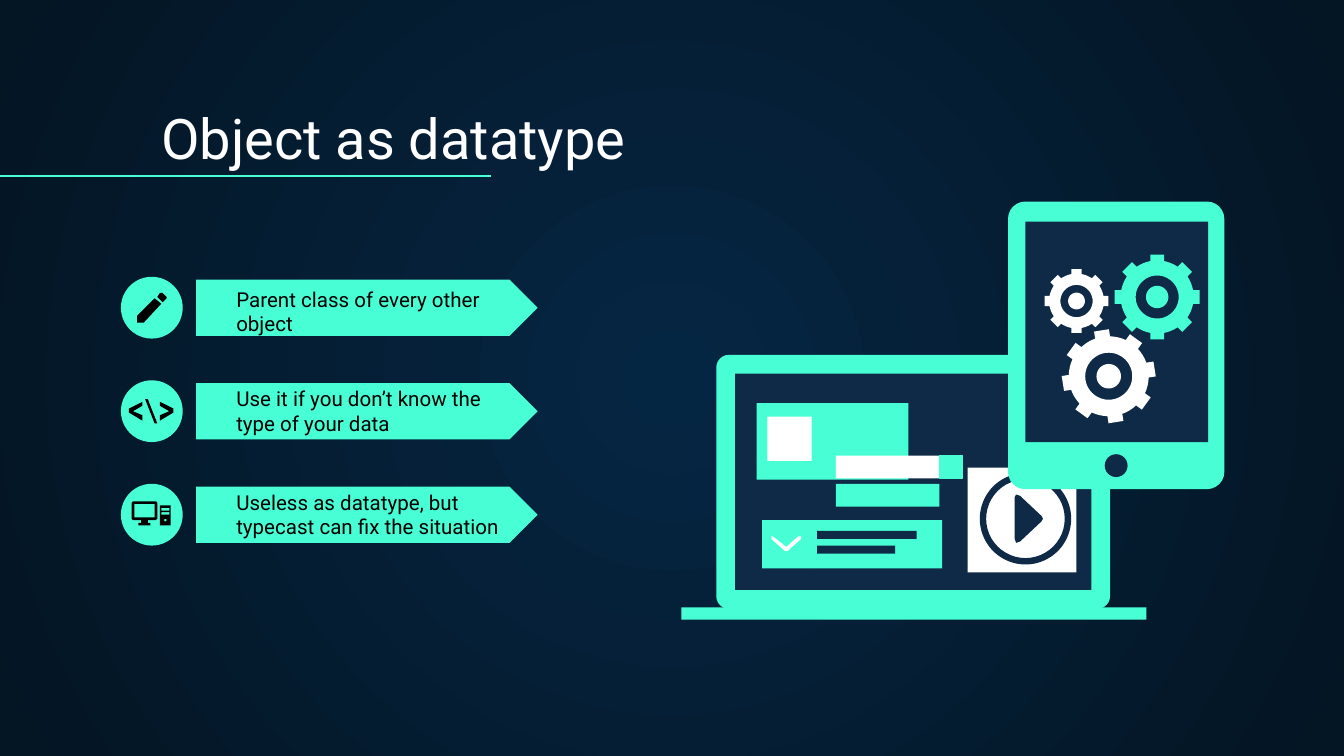
from math import cos, sin, pi, asin, radians

from lxml import etree
from pptx import Presentation
from pptx.dml.color import RGBColor
from pptx.enum.shapes import MSO_CONNECTOR, MSO_SHAPE
from pptx.enum.text import MSO_ANCHOR, MSO_AUTO_SIZE, PP_ALIGN
from pptx.oxml.ns import qn
from pptx.util import Inches, Pt

RECT, ROUND = MSO_SHAPE.RECTANGLE, MSO_SHAPE.ROUNDED_RECTANGLE
OVAL, DONUT, TAG = MSO_SHAPE.OVAL, MSO_SHAPE.DONUT, MSO_SHAPE.PENTAGON
STRAIGHT = MSO_CONNECTOR.STRAIGHT
BOTTOM, LEFT, NO_FIT = MSO_ANCHOR.BOTTOM, PP_ALIGN.LEFT, MSO_AUTO_SIZE.NONE

MINT, NAVY, WHITE, BLACK = "48FFD5", "0E2A47", "FFFFFF", "000000"
WIDTH, HEIGHT = Inches(10), Inches(10) * 9 // 16
ROW_TOP, ROW_STEP = 2.06, 0.77
# Text and the top of its box
ITEMS = [
    ("Parent class of every other object", 2.39),
    ("Use it if you don’t know the type of your data", 3.13),
    ("Useless as datatype, but typecast can fix the situation", 3.9),
]


def rgb(color):
    return RGBColor.from_string(color)


def paint(shape, color):
    shape.shadow.inherit = False
    shape.fill.solid()
    shape.fill.fore_color.rgb = rgb(color)
    shape.line.fill.background()
    return shape


def block(s, kind, box, color, adj=None):
    shape = s.shapes.add_shape(kind, *map(Inches, box))
    if adj is not None:
        shape.adjustments[0] = adj
    return paint(shape, color)


def outline(s, contours, color):
    """Closed polygons in one shape; inner ones are holes."""
    first, *rest = [[(Inches(x), Inches(y)) for x, y in c] for c in contours]
    fb = s.shapes.build_freeform(*first[0], scale=1.0)
    fb.add_line_segments(first[1:], close=True)
    for contour in rest:
        fb.move_to(*contour[0])
        fb.add_line_segments(contour[1:], close=True)
    return paint(fb.convert_to_shape(), color)


def rect_points(left, top, right, bottom):
    return [(left, top), (right, top), (right, bottom), (left, bottom)]


def circle_points(cx, cy, radius, steps=48):
    angles = [2 * pi * i / steps for i in range(steps)]
    return [(cx + radius * cos(a), cy + radius * sin(a)) for a in angles]


def gear(s, cx, cy, tip, color, turn=0, teeth=8):
    root, half = tip * 0.85, tip * 0.16
    ring, hub = tip * 0.5, tip * 0.26
    at_root, at_tip = asin(half / root), asin(half / tip)
    pitch = 2 * pi / teeth
    gap = (pitch - 2 * at_root) / 4
    polar = []
    for i in range(teeth):
        a = i * pitch + radians(turn)
        polar += [(root, a - at_root), (tip, a - at_tip), (tip, a + at_tip)]
        polar += [(root, a + at_root + gap * j) for j in range(4)]
    rim = [(cx + r * sin(a), cy - r * cos(a)) for r, a in polar]
    outline(s, [rim, circle_points(cx, cy, ring), circle_points(cx, cy, hub)], color)


def write(shape, box, text, size, color):
    shape.left, shape.top, shape.width, shape.height = map(Inches, box)
    tf = shape.text_frame
    margins = {f"margin_{side}": Inches(0.1) for side in ("left", "right", "top", "bottom")}
    frame = {"word_wrap": True, "auto_size": NO_FIT, "vertical_anchor": BOTTOM, **margins}
    for name, value in frame.items():
        setattr(tf, name, value)
    p = tf.paragraphs[0]
    p.alignment = LEFT
    r = p.add_run()
    r.text = text
    for name, value in {"name": "Roboto", "size": Pt(size), "bold": False}.items():
        setattr(r.font, name, value)
    r.font.color.rgb = rgb(color)


def background(s):
    fill = s.background.fill
    fill.gradient()
    for stop, color in zip(fill.gradient_stops, ("052643", "041523")):
        stop.color.rgb = rgb(color)
    lin = s.background._cSld.find(".//" + qn("a:lin"))
    radial = etree.Element(qn("a:path"), path="circle")
    etree.SubElement(radial, qn("a:fillToRect"), dict.fromkeys("ltrb", "50000"))
    lin.getparent().replace(lin, radial)


def heading(s, text):
    write(s.shapes.title, (1.1, 0.71, 8.57, 0.66), text, 30, WHITE)
    rule = s.shapes.add_connector(STRAIGHT, 0, Inches(1.31), Inches(3.65), Inches(1.31))
    rule.line.color.rgb = rgb(MINT)
    rule.line.width = Pt(0.75)
    etree.SubElement(rule._element.spPr, qn("a:effectLst"))


def item(s, row, text, text_top):
    top = ROW_TOP + row * ROW_STEP
    block(s, TAG, (1.46, top + 0.02, 2.54, 0.42), MINT, 0.5)
    block(s, OVAL, (0.9, top, 0.46, 0.46), MINT)
    box = s.shapes.add_textbox(0, 0, 0, 0)
    write(box, (1.66, text_top, 2.27, 0.21), text, 11, BLACK)


def icons(s):
    # Pencil
    outline(s, [[(1.19, 2.18), (1.21, 2.18), (1.24, 2.21), (1.24, 2.22), (1.21, 2.25), (1.17, 2.21)],
                [(1.15, 2.22), (1.2, 2.26), (1.07, 2.4), (1.02, 2.4), (1.02, 2.35)]], BLACK)
    # Code brackets, mirrored about the badge centre, and the stroke between
    bracket = [(1.06, 3.13), (0.96, 3.07), (0.96, 3.04), (1.06, 2.99),
               (1.06, 3.02), (0.99, 3.06), (1.06, 3.09)]
    outline(s, [bracket], BLACK)
    outline(s, [[(2.25 - x, y) for x, y in bracket]], BLACK)
    outline(s, [[(1.15, 3.15), (1.08, 2.97), (1.1, 2.97), (1.17, 3.15)]], BLACK)
    # Monitor and tower
    monitor = [(0.99, 3.73), (1.16, 3.73), (1.17, 3.74), (1.17, 3.86), (1.16, 3.87), (1.1, 3.87),
               (1.1, 3.89), (1.12, 3.89), (1.12, 3.91), (1.03, 3.91), (1.03, 3.89),
               (1.05, 3.89), (1.05, 3.87), (0.99, 3.87), (0.98, 3.86), (0.98, 3.74)]
    outline(s, [monitor, rect_points(1, 3.75, 1.15, 3.85)], BLACK)
    slots = [rect_points(1.2, y, 1.26, y + 0.02) for y in (3.78, 3.81)]
    outline(s, [rect_points(1.19, 3.76, 1.27, 3.91), *slots,
                circle_points(1.23, 3.87, 0.01, 12)], BLACK)


def laptop(s):
    block(s, ROUND, (5.33, 2.64, 2.93, 1.89), MINT, 0.05)
    parts = [
        ((5.47, 2.78, 2.65, 1.61), NAVY),   # screen
        ((5.07, 4.52, 3.46, 0.09), MINT),   # base
        ((5.63, 3, 1.13, 0.57), MINT),      # card
        ((5.71, 3.1, 0.33, 0.33), WHITE),
        ((6.02, 3.87, 0.99, 0.36), MINT),   # drop-down with two lines
        ((6.08, 3.95, 0.74, 0.06), NAVY),
        ((6.08, 4.06, 0.58, 0.06), NAVY),
        ((5.67, 3.87, 0.35, 0.36), MINT),
        ((6.22, 3.6, 0.77, 0.17), MINT),    # fields
        ((6.22, 3.39, 0.77, 0.17), WHITE),
        ((6.99, 3.39, 0.17, 0.17), MINT),
        ((7.2, 3.48, 0.81, 0.78), WHITE),   # video tile
    ]
    shapes = [block(s, RECT, box, color) for box, color in parts]
    button = shapes[-2]
    button.line.color.rgb = rgb(MINT)
    button.line.width = Pt(0.75)
    # Drop-down arrow and play button
    outline(s, [[(5.75, 3.99), (5.85, 4.07), (5.94, 3.99), (5.96, 3.99), (5.96, 4.01),
                 (5.86, 4.1), (5.84, 4.1), (5.74, 4.01), (5.74, 3.99)]], WHITE)
    block(s, DONUT, (7.29, 3.52, 0.68, 0.68), NAVY, 0.07)
    outline(s, [[(7.55, 3.7), (7.56, 3.68), (7.59, 3.69), (7.75, 3.84), (7.76, 3.86),
                 (7.75, 3.88), (7.59, 4.03), (7.56, 4.04), (7.55, 4.01)]], NAVY)


def tablet(s):
    block(s, ROUND, (7.5, 1.5, 1.61, 2.14), MINT, 0.08)
    block(s, RECT, (7.63, 1.65, 1.36, 1.64), NAVY)
    block(s, OVAL, (8.22, 3.38, 0.17, 0.17), NAVY)
    gear(s, 8.61, 2.21, 0.32, MINT)
    gear(s, 8.01, 2.24, 0.24, WHITE)
    gear(s, 8.25, 2.8, 0.35, WHITE, turn=-9)


def main():
    prs = Presentation()
    prs.slide_width, prs.slide_height = WIDTH, HEIGHT
    s = prs.slides.add_slide(prs.slide_layouts[5])
    background(s)
    heading(s, "Object as datatype")
    for row, (text, text_top) in enumerate(ITEMS):
        item(s, row, text, text_top)
    icons(s)
    laptop(s)
    tablet(s)
    prs.save("out.pptx")


if __name__ == "__main__":
    main()
